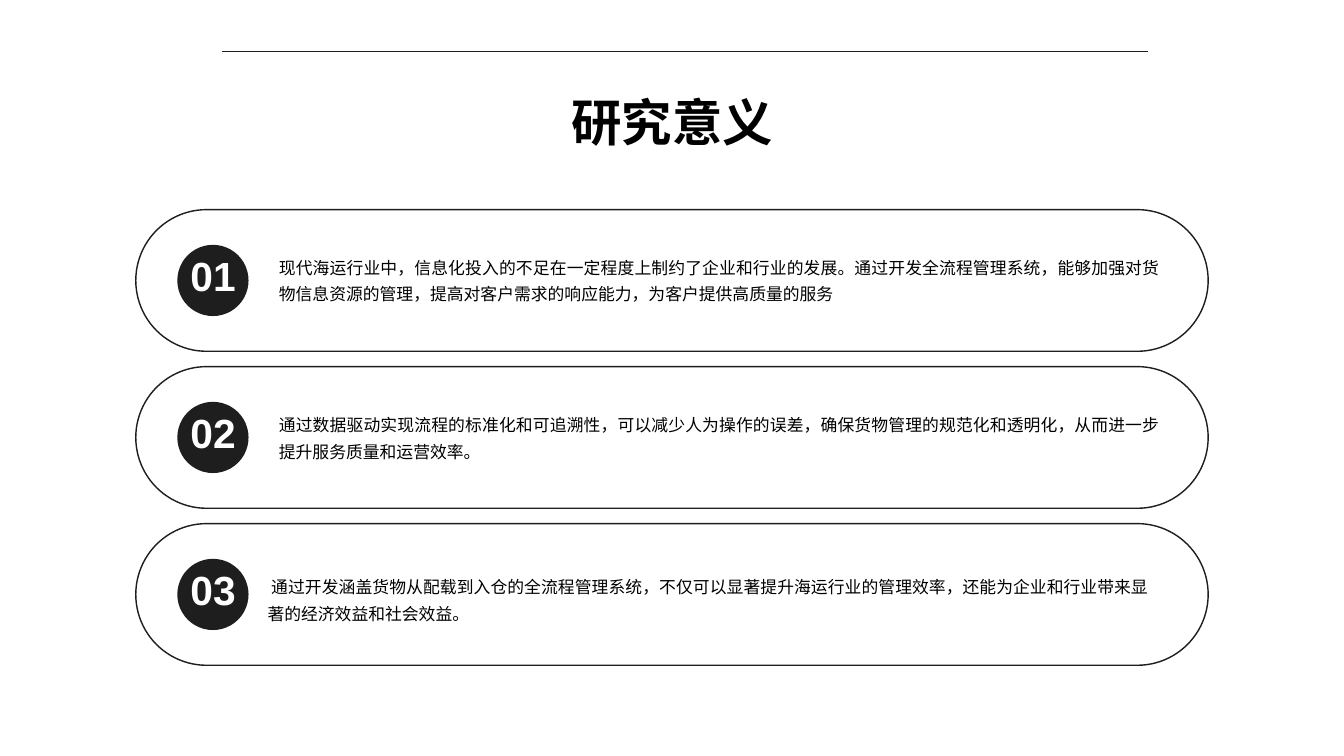
from lxml.etree import SubElement
from pptx import Presentation
from pptx.dml.color import RGBColor
from pptx.enum.shapes import MSO_CONNECTOR, MSO_SHAPE
from pptx.enum.text import MSO_ANCHOR, PP_ALIGN
from pptx.oxml.ns import qn
from pptx.util import Pt

COLORS = {"ink": "1E1E1E", "text": "000000", "number": "FFFFFF"}
CJK_FONT = "Noto Sans CJK SC"

prs = Presentation()
prs.slide_width, prs.slide_height = Pt(1440), Pt(810)
slide = prs.slides.add_slide(prs.slide_layouts[6])


def add_text(text, left, top, width, height, *, size, spacing, color="text",
             font=CJK_FONT, bold=False, align=PP_ALIGN.CENTER, indent=0):
    box = slide.shapes.add_textbox(Pt(left), Pt(top), Pt(width), Pt(height))
    frame = box.text_frame
    frame.word_wrap = True
    frame.vertical_anchor = MSO_ANCHOR.TOP
    frame.margin_left = frame.margin_right = frame.margin_top = frame.margin_bottom = 0
    paragraph = frame.paragraphs[0]
    paragraph.alignment = align
    paragraph.line_spacing = Pt(spacing)
    if indent:
        paragraph._p.get_or_add_pPr().set("indent", str(Pt(indent)))
    run = paragraph.add_run()
    run.text = text
    run.font.size = Pt(size)
    run.font.bold = bold
    run.font.name = font
    run.font.color.rgb = RGBColor.from_string(COLORS[color])
    # Chinese characters take the East Asian typeface
    SubElement(run._r.get_or_add_rPr(), qn("a:ea")).set("typeface", font)


# Title and the rule above it
add_text("研究意义", 473.8, 100.8, 493.2, 123, size=54, spacing=61.1, bold=True)
top_rule = slide.shapes.add_connector(
    MSO_CONNECTOR.STRAIGHT, Pt(237.6), Pt(54.7), Pt(1230.5), Pt(54.7))
top_rule.line.color.rgb = RGBColor.from_string(COLORS["ink"])
top_rule.line.width = Pt(0.75)
SubElement(top_rule._element.spPr, qn("a:effectLst"))

# Numbered points: text, left edge, offset from the pill top, first-line indent
points = [
    ("现代海运行业中，信息化投入的不足在一定程度上制约了企业和行业的发展。通过开发全流程管理系统，"
     "能够加强对货物信息资源的管理，提高对客户需求的响应能力，为客户提供高质量的服务", 298.8, 44, 0),
    ("通过数据驱动实现流程的标准化和可追溯性，可以减少人为操作的误差，"
     "确保货物管理的规范化和透明化，从而进一步提升服务质量和运营效率。", 298.8, 45, 0),
    ("通过开发涵盖货物从配载到入仓的全流程管理系统，不仅可以显著提升海运行业的管理效率，"
     "还能为企业和行业带来显著的经济效益和社会效益。", 286.6, 50.3, 4),
]
PILL_TOP, PILL_PITCH, PILL_HEIGHT, BADGE = 224.6, 168.2, 151.8, 76.3

for index, (text, text_left, text_offset, indent) in enumerate(points):
    top = PILL_TOP + index * PILL_PITCH

    pill = slide.shapes.add_shape(
        MSO_SHAPE.ROUNDED_RECTANGLE, Pt(145.5), Pt(top), Pt(1149), Pt(PILL_HEIGHT))
    pill.adjustments[0] = 0.5
    pill.shadow.inherit = False
    pill.fill.background()
    pill.line.color.rgb = RGBColor.from_string(COLORS["ink"])
    pill.line.width = Pt(1.5)

    add_text(text, text_left, top + text_offset, 943.9, 57.2, size=18, spacing=28.6,
             align=PP_ALIGN.JUSTIFY, indent=indent)

    badge = slide.shapes.add_shape(
        MSO_SHAPE.OVAL, Pt(190), Pt(top + (PILL_HEIGHT - BADGE) / 2), Pt(BADGE), Pt(BADGE))
    badge.shadow.inherit = False
    badge.fill.solid()
    badge.fill.fore_color.rgb = RGBColor.from_string(COLORS["ink"])
    badge.line.fill.background()

    add_text(f"{index + 1:02}", 189.4, top + 44, 77.8, 59, size=43.6, spacing=52.4,
             color="number", font="Arial", bold=True)

prs.save("out.pptx")
